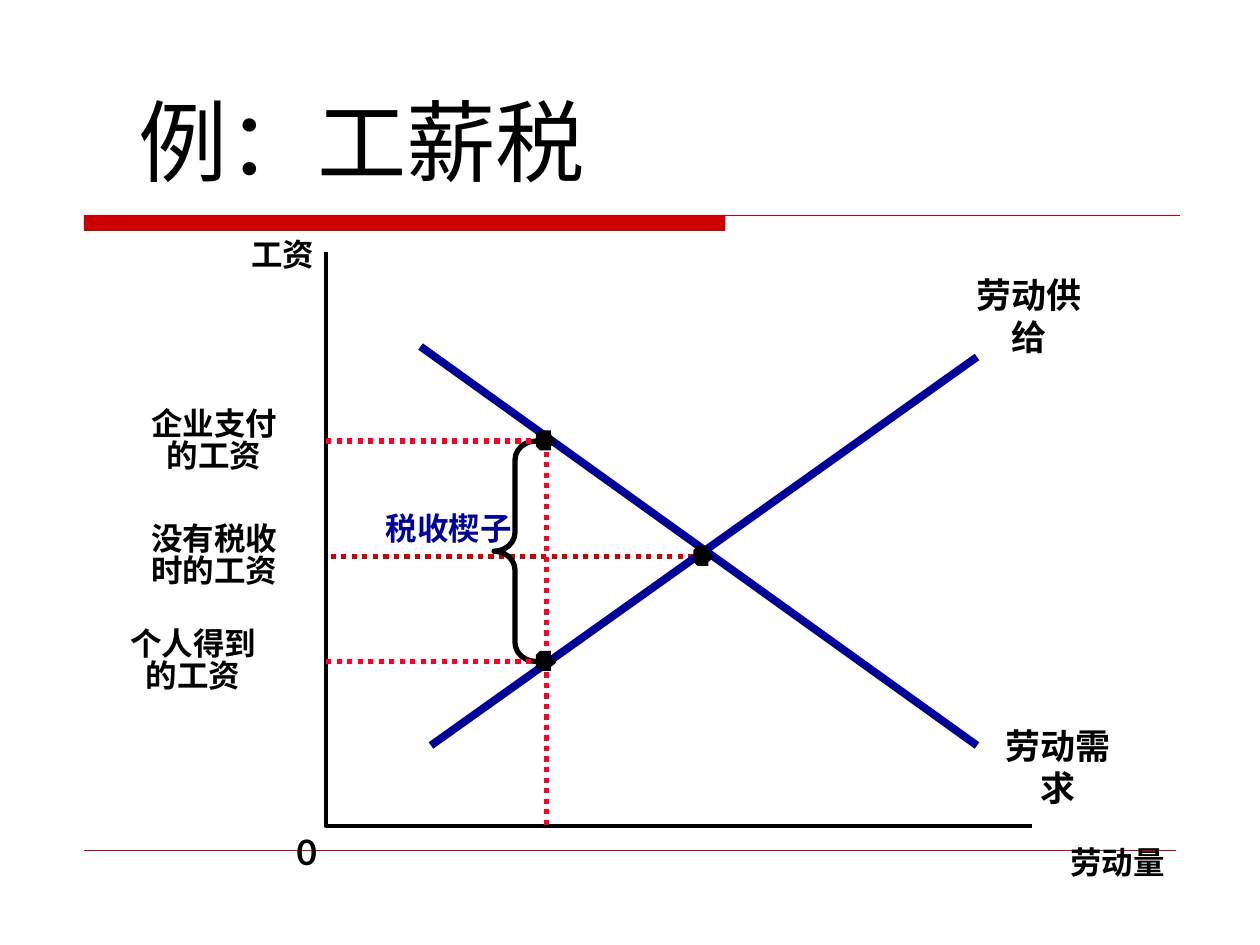
import pptx
import pptx.util
import pptx.dml.color
import pptx.enum.dml
import pptx.enum.shapes
import pptx.enum.text
import pptx.oxml.ns
import lxml.etree
from dataclasses import dataclass

COLUMNS, ROWS = 120, 90
CELL = pptx.util.Inches(10) // COLUMNS
COLORS = {"rule": "CC0000", "curve": "000099", "guide": "FC0128", "ink": "000000"}
ALIGN = pptx.enum.text.PP_ALIGN
OCTAGON = [(0.38, 1), (0.75, 1), (0.75, 0.8), (1, 0.6), (0.75, 0.2), (0.75, 0),
           (0.38, 0), (0.2, 0), (0, 0.2), (0, 0.6), (0, 0.8), (0.2, 1)]


@dataclass
class Box:
    """A region of the slide grid, in columns and rows."""
    left: float
    top: float
    width: float
    height: float

    def point(self, column, row):
        """Turn a cell of the region into a slide position."""
        return round((self.left + column) * CELL), round((self.top + row) * CELL)

    def frame(self, column, row, width, height):
        """Turn a part of the region into a slide frame."""
        return *self.point(column, row), round(width * CELL), round(height * CELL)


def rgb(name):
    """Return the named colour."""
    return pptx.dml.color.RGBColor.from_string(COLORS[name])


def add_line(slide, box, start, end, color, weight, dotted=False):
    """Draw a straight line between two cells of the box."""
    line = slide.shapes.add_connector(pptx.enum.shapes.MSO_CONNECTOR.STRAIGHT,
                                      *box.point(*start), *box.point(*end))
    line.line.color.rgb = rgb(color)
    line.line.width = pptx.util.Pt(weight)
    if dotted:
        line.line.dash_style = pptx.enum.dml.MSO_LINE.ROUND_DOT
    lxml.etree.SubElement(line._element.spPr, pptx.oxml.ns.qn("a:effectLst"))


def paint(shape, fill=None, line=None, weight=1):
    """Set the fill and outline of a shape."""
    shape.shadow.inherit = False
    if fill:
        shape.fill.solid()
        shape.fill.fore_color.rgb = rgb(fill)
    else:
        shape.fill.background()
    if line:
        shape.line.color.rgb = rgb(line)
        shape.line.width = pptx.util.Pt(weight)
    else:
        shape.line.fill.background()


def add_outline(slide, points, closed):
    """Build a freeform through slide positions."""
    builder = slide.shapes.build_freeform(*points[0])
    builder.add_line_segments(points[1:], close=closed)
    return builder.convert_to_shape()


def add_label(slide, box, part, text, size=18, align=ALIGN.CENTER, color="ink", wrap=False):
    """Write a bold label in a part of the box."""
    frame = slide.shapes.add_textbox(*box.frame(*part)).text_frame
    frame.margin_left = frame.margin_right = frame.margin_top = frame.margin_bottom = 0
    frame.word_wrap = wrap
    frame.text = text
    for paragraph in frame.paragraphs:
        paragraph.alignment = align
        if size == 18:
            paragraph.line_spacing = 0.85
        font = paragraph.runs[0].font
        font.name, font.size, font.bold = "Lato", pptx.util.Pt(size), True
        font.color.rgb = rgb(color)


def add_header(slide, box):
    """Place the title and the two-weight rule below it."""
    title = slide.shapes.title
    title.left, title.top, title.width, title.height = box.frame(4, 0, 102, 15)
    frame = title.text_frame
    frame.text = "例：工薪税"
    frame.word_wrap = True
    frame.auto_size = pptx.enum.text.MSO_AUTO_SIZE.NONE
    frame.vertical_anchor = pptx.enum.text.MSO_ANCHOR.BOTTOM
    frame.paragraphs[0].alignment = ALIGN.LEFT
    font = frame.paragraphs[0].runs[0].font
    font.name, font.size = "DejaVu Sans", pptx.util.Pt(51)
    font.color.rgb = rgb("ink")
    bar = slide.shapes.add_shape(pptx.enum.shapes.MSO_SHAPE.RECTANGLE,
                                 *box.frame(0, 16.5, 61.1, 1.5))
    paint(bar, fill="rule")
    add_line(slide, box, (0, 16.5), (box.width, 16.5), "rule", 0.75)


def add_footer(slide, box):
    """Draw the thin rule at the foot of the slide."""
    add_line(slide, box, (0, 0), (box.width, 0), "rule", 0.25)


def add_market(slide, box):
    """Draw the labour market with its tax wedge."""
    paid, untaxed, received = 18, 29, 39
    taxed_labour, free_labour = 21, 36

    add_label(slide, box, (70.9, 56.8, 9, 3.1), "劳动量", align=ALIGN.RIGHT)
    add_label(slide, box, (-2.8, 55.1, 1.9, 4), "0", 20, ALIGN.LEFT)
    add_label(slide, box, (-7.1, -1.1, 6, 3.1), "工资", align=ALIGN.RIGHT)
    add_label(slide, box, (63.1, 45, 13.3, 4), "劳动需求", 20)
    add_label(slide, box, (60.3, 2, 13.3, 4), "劳动供给", 20)

    add_line(slide, box, (free_labour, untaxed), (0, untaxed), "rule", 3, True)
    add_line(slide, box, (9, 9), (62, 47), "curve", 4.5)
    add_line(slide, box, (10, 47), (62, 10), "curve", 4.5)
    axes = add_outline(slide, [box.point(*cell) for cell in
                               ((0, 0), (0, box.height), (box.width, box.height))], False)
    paint(axes, line="ink", weight=2.25)

    brace = slide.shapes.add_shape(pptx.enum.shapes.MSO_SHAPE.LEFT_BRACE,
                                   *box.frame(16, paid, 4, received - paid))
    brace.adjustments[0] = 0.45
    paint(brace, line="ink", weight=3)
    add_label(slide, box, (-1, 25, 18.7, 3.1), "税收楔子", align=ALIGN.RIGHT,
              color="curve", wrap=True)

    for wage in (paid, received):
        add_line(slide, box, (0, wage), (taxed_labour, wage), "guide", 3, True)
    add_line(slide, box, (taxed_labour, paid), (taxed_labour, 55), "guide", 3, True)

    for left, width, wage, text in ((-20, 18.7, paid, "企业支付\n的工资"),
                                    (-20, 18.7, untaxed, "没有税收\n时的工资"),
                                    (-24, 22.7, received, "个人得到\n的工资")):
        add_label(slide, box, (left, wage - 3, width, 6.1), text, wrap=True)

    for labour, wage in ((taxed_labour, paid), (free_labour, untaxed), (taxed_labour, received)):
        corners = [box.point(labour - 1 + 1.9 * x, wage - 1 + 1.9 * y) for x, y in OCTAGON]
        paint(add_outline(slide, corners, True), fill="ink")


def main():
    """Build and save the payroll tax slide."""
    deck = pptx.Presentation()
    deck.slide_width, deck.slide_height = COLUMNS * CELL, ROWS * CELL
    slide = deck.slides.add_slide(deck.slide_layouts[5])
    add_header(slide, Box(8, 4, 104.4, 18))
    add_footer(slide, Box(8, 81, 104, 0))
    add_market(slide, Box(31.05, 24, 67.2, 54.7))
    deck.save("out.pptx")


if __name__ == "__main__":
    main()
